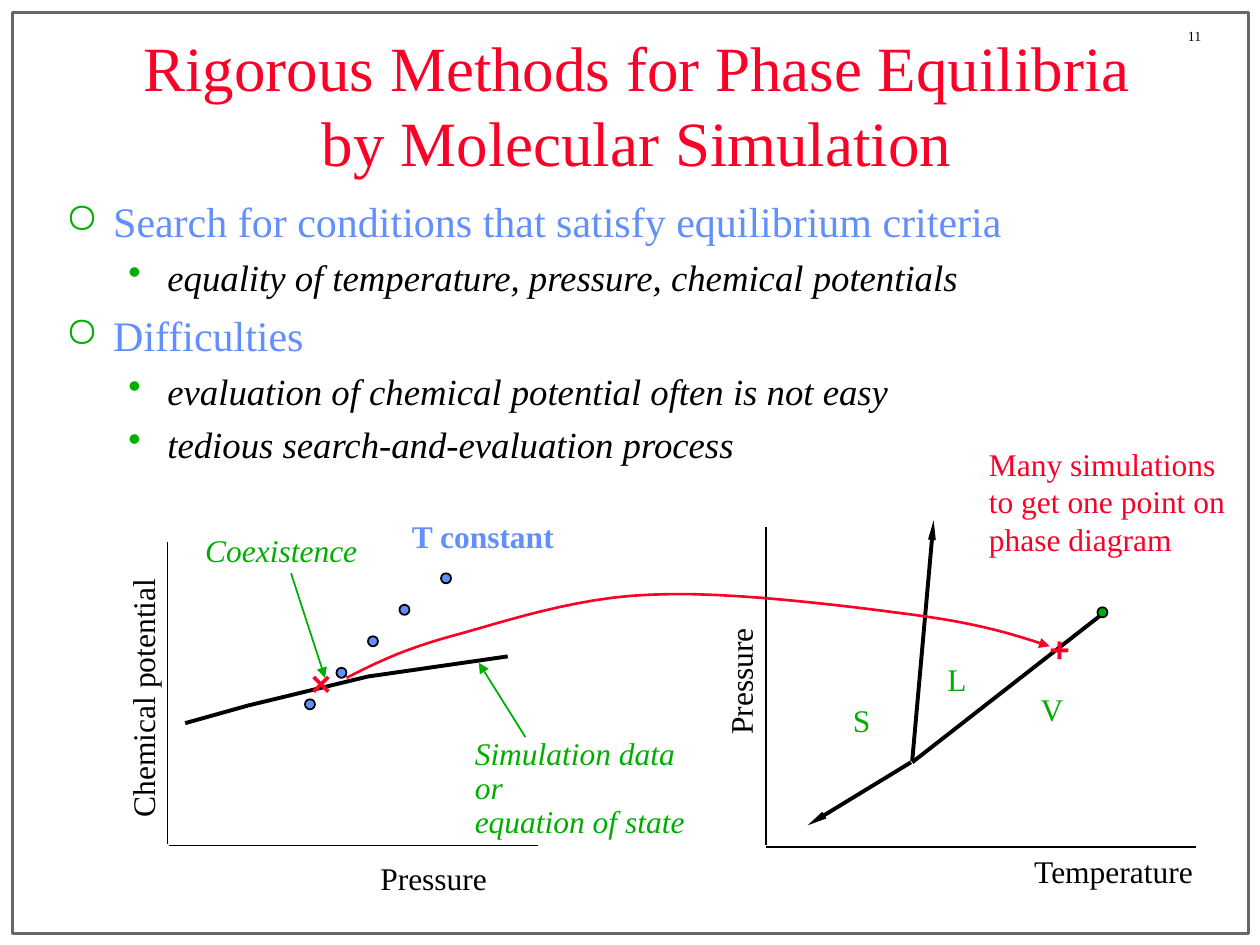
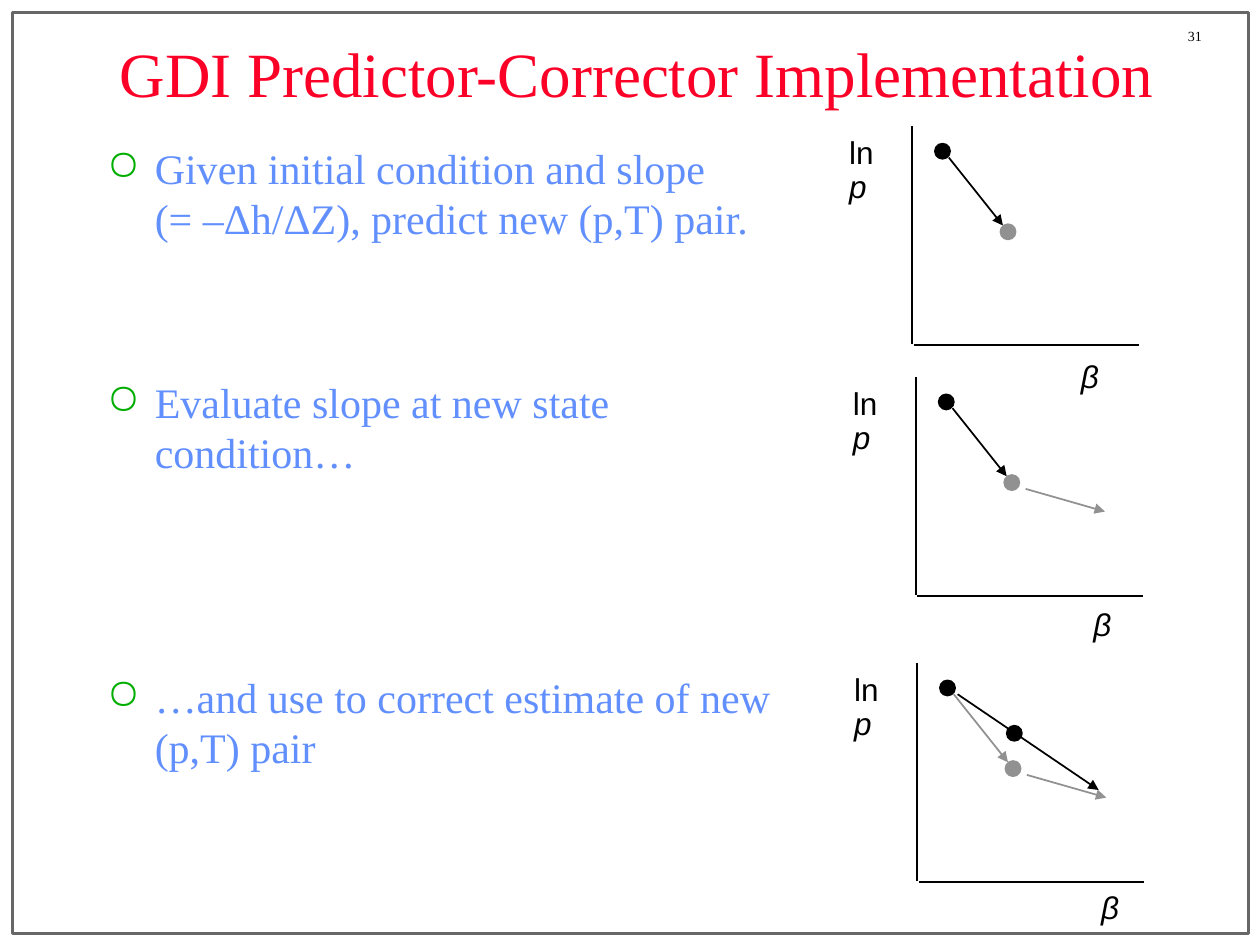
"""Build two slides on phase equilibria and the GDI predictor-corrector scheme."""
from dataclasses import dataclass

from lxml.etree import SubElement
from pptx import Presentation
from pptx.dml.color import RGBColor
from pptx.enum.shapes import MSO_CONNECTOR, MSO_SHAPE
from pptx.enum.text import MSO_ANCHOR, MSO_AUTO_SIZE, PP_ALIGN
from pptx.oxml.ns import qn
from pptx.util import Pt

PX = 9144


@dataclass(frozen=True)
class Theme:
    red: str = "FC0128"
    blue: str = "618FFD"
    green: str = "00AE00"
    black: str = "000000"
    gray: str = "919191"
    border: str = "676767"
    serif: str = "Times New Roman"
    sans: str = "Arial"
    title: int = 36
    topic: int = 24
    detail: int = 21
    mark: int = 20
    label: int = 18
    number: int = 8


theme = Theme()
title_style = dict(name=theme.serif, size=theme.title, color=theme.red)
number_style = dict(name=theme.serif, size=theme.number, color=theme.black)
topic_style = dict(name=theme.serif, size=theme.topic, color=theme.blue)
detail_style = dict(name=theme.serif, size=theme.detail, color=theme.black, italic=True)
axis_style = dict(name=theme.serif, size=theme.label, color=theme.black)
phase_style = dict(axis_style, color=theme.green)
callout_style = dict(phase_style, italic=True)
constant_style = dict(axis_style, color=theme.blue, bold=True)
remark_style = dict(axis_style, color=theme.red)
mark_style = dict(name=theme.sans, size=theme.mark, color=theme.red, bold=True)
symbol_style = dict(name=theme.sans, size=theme.label, color=theme.black)
variable_style = dict(symbol_style, italic=True)


def write(shape, box, lines, wrap=False, fit=True, spacing=None):
    """Place a text shape and fill it with lines of (text, style) runs."""
    for side, length in zip(("left", "top", "width", "height"), box):
        setattr(shape, side, length * PX)
    frame = shape.text_frame
    frame.word_wrap = wrap
    frame.auto_size = MSO_AUTO_SIZE.SHAPE_TO_FIT_TEXT if fit else MSO_AUTO_SIZE.NONE
    for index, runs in enumerate(lines):
        paragraph = frame.add_paragraph() if index else frame.paragraphs[0]
        paragraph.line_spacing = spacing
        for text, style in runs:
            if text == "\n":
                paragraph.add_line_break()
                continue
            run = paragraph.add_run()
            run.text = text
            for attribute, value in style.items():
                if attribute == "color":
                    run.font.color.rgb = RGBColor.from_string(value)
                elif attribute == "size":
                    run.font.size = Pt(value)
                else:
                    setattr(run.font, attribute, value)
    return frame


def outline(shape, color, weight=1, head=None):
    """Style a line, give it an optional arrowhead and remove its shadow."""
    shape.line.color.rgb = RGBColor.from_string(color)
    shape.line.width = Pt(weight)
    properties = shape.element.spPr
    if head:
        SubElement(properties.find(qn("a:ln")), qn("a:tailEnd"), head)
    SubElement(properties, qn("a:effectLst"))


presentation = Presentation()
presentation.slide_width, presentation.slide_height = 1000 * PX, 750 * PX
title_only = presentation.slide_layouts[5]

TOPIC = dict(style=topic_style, bullet="○", margin=38, hanging=38, level=0)
DETAIL = dict(style=detail_style, bullet="•", margin=81, hanging=31, level=1)

outlines = [
    ("Rigorous Methods for Phase Equilibria by Molecular Simulation", 33, "11",
     (42, 150, 942, 450), [
         (TOPIC, 0, "Search for conditions that satisfy equilibrium criteria"),
         (DETAIL, 5.2, "equality of temperature, pressure, chemical potentials"),
         (TOPIC, 6, "Difficulties"),
         (DETAIL, 5.2, "evaluation of chemical potential often is not easy"),
         (DETAIL, 5.2, "tedious search-and-evaluation process"),
     ]),
    ("GDI Predictor-Corrector Implementation", 8, "31",
     (75, 108, 558, 508), [
         (TOPIC, 0, "Given initial condition and slope\n(= –Δh/ΔZ), predict new (p,T) pair."),
         (TOPIC, 76, "Evaluate slope at new state condition…"),
         (TOPIC, 111, "…and use to correct estimate of new (p,T) pair"),
     ]),
]

for title, title_top, number, body_box, points in outlines:
    slide = presentation.slides.add_slide(title_only)
    border = slide.shapes.add_shape(MSO_SHAPE.RECTANGLE, 10 * PX, 10 * PX, 981 * PX, 731 * PX)
    border.fill.background()
    outline(border, theme.border, 2)
    write(slide.shapes.add_textbox(0, 0, 0, 0), (933, 17, 67, 23), [[(number, number_style)]])

    heading = write(slide.shapes.title, (75, title_top, 861, 99), [[(title, title_style)]],
                    wrap=True, fit=False)
    heading.vertical_anchor = MSO_ANCHOR.MIDDLE
    heading.paragraphs[0].alignment = PP_ALIGN.CENTER

    lines = []
    for kind, gap, text in points:
        first, newline, rest = text.partition("\n")
        lines.append([(part, kind["style"]) for part in (first, newline, rest) if part])
    body = write(slide.shapes.add_textbox(0, 0, 0, 0), body_box, lines, wrap=True, fit=False)
    for paragraph, (kind, gap, text) in zip(body.paragraphs, points):
        paragraph.level = kind["level"]
        paragraph.space_before = Pt(gap)
        properties = paragraph._p.get_or_add_pPr()
        properties.set("marL", str(kind["margin"] * PX))
        properties.set("indent", str(-kind["hanging"] * PX))
        bullet_color = SubElement(properties, qn("a:buClr"))
        SubElement(bullet_color, qn("a:srgbClr"), val=theme.green)
        SubElement(properties, qn("a:buChar"), char=kind["bullet"])

equilibria, corrector = presentation.slides

ARROW = dict(type="triangle")
SLIM_ARROW = dict(type="triangle", w="sm", len="lg")

segments = [
    (equilibria, (133, 430, 133, 670), theme.black, 1, None),
    (equilibria, (134, 671, 427, 671), theme.black, 1, None),
    (equilibria, (417, 585, 380, 526), theme.green, 1, ARROW),
    (equilibria, (231, 455, 258, 538), theme.green, 1, ARROW),
    (equilibria, (608, 418, 608, 671), theme.black, 1, None),
    (equilibria, (608, 672, 949, 672), theme.black, 1, None),
    (equilibria, (723, 605, 641, 655), theme.black, 2.25, SLIM_ARROW),
    (equilibria, (724, 604, 741, 413), theme.black, 2.25, SLIM_ARROW),
    (equilibria, (724, 605, 874, 488), theme.black, 2.25, None),
]
data_points = [(242, 555), (267, 530), (292, 505), (317, 480), (350, 455)]
dots = [(equilibria, left, top, 8, theme.blue, theme.black) for left, top in data_points]
dots.append((equilibria, 871, 482, 8, theme.green, theme.black))

labels = [
    (equilibria, (-16, 509, 262, 37), [[("Chemical potential", axis_style)]], True, 270),
    (equilibria, (237, 524, 44, 40), [[("×", mark_style)]], False, 0),
    (equilibria, (367, 581, 207, 64), [[("Simulation data or", callout_style)],
                                       [("equation of state", callout_style)]], False, 0),
    (equilibria, (153, 420, 141, 37), [[("Coexistence", callout_style)]], False, 0),
    (equilibria, (317, 409, 133, 37), [[("T constant", constant_style)]], False, 0),
    (equilibria, (292, 680, 140, 37), [[("Pressure", axis_style)]], True, 0),
    (equilibria, (508, 493, 163, 37), [[("Pressure", axis_style)]], True, 270),
    (equilibria, (811, 675, 148, 37), [[("Temperature", axis_style)]], False, 0),
    (equilibria, (816, 546, 42, 37), [[("V", phase_style)]], True, 0),
    (equilibria, (742, 522, 42, 37), [[("L", phase_style)]], True, 0),
    (equilibria, (667, 555, 42, 37), [[("S", phase_style)]], True, 0),
    (equilibria, (823, 497, 36, 40), [[("+", mark_style)]], False, 0),
]

panels = [
    (724, 100, (848, 282), theme.black, False, False),
    (727, 299, (858, 479), theme.black, True, False),
    (728, 526, (864, 703), theme.gray, True, True),
]
for left, top, beta, predictor_color, evaluated, corrected in panels:
    strokes = [((0, 0, 0, 173), theme.black, None),
               ((1, 174, 180, 174), theme.black, None),
               ((29, 25, 72, 79), predictor_color, ARROW)]
    states = [(18, 14, theme.black), (70, 78, theme.gray)]
    if evaluated:
        strokes.append(((87, 89, 150, 107), theme.gray, ARROW))
    if corrected:
        strokes.append(((32, 25, 144, 101), theme.black, ARROW))
        states.append((71, 50, theme.black))
    for (x1, y1, x2, y2), color, head in strokes:
        ends = (left + x1, top + y1, left + x2, top + y2)
        segments.append((corrector, ends, color, 1, head))
    for x, y, color in states:
        dots.append((corrector, left + x, top + y, 12, color, color))
    labels.append((corrector, (left - 60, top + 4, 53, 37),
                   [[("ln", symbol_style), ("p", variable_style)]], False, 0))
    labels.append((corrector, (*beta, 34, 37), [[("β", variable_style)]], False, 0))

for slide, ends, color, weight, head in segments:
    segment = slide.shapes.add_connector(MSO_CONNECTOR.STRAIGHT, *(end * PX for end in ends))
    outline(segment, color, weight, head)

isotherm = [(403, 521), (292, 537), (197, 560), (147, 574)]
transfer = [(275, 538)]
bends = [
    ((297, 527), (318, 516), (358, 505)),
    ((399, 494), (456, 474), (517, 472)),
    ((578, 469), (672, 481), (725, 488)),
    ((778, 495), (806, 504), (833, 513)),
]
STEPS = 12
for bend in bends:
    controls = (transfer[-1], *bend)
    for step in range(1, STEPS + 1):
        t = step / STEPS
        weights = ((1 - t) ** 3, 3 * t * (1 - t) ** 2, 3 * t ** 2 * (1 - t), t ** 3)
        transfer.append(tuple(sum(w * c for w, c in zip(weights, axis))
                              for axis in zip(*controls)))

for trace, color, weight, head in ((isotherm, theme.black, 2.25, None),
                                   (transfer, theme.red, 1.5, ARROW)):
    start, *following = [(round(x * PX), round(y * PX)) for x, y in trace]
    builder = equilibria.shapes.build_freeform(*start)
    builder.add_line_segments(following, close=False)
    curve = builder.convert_to_shape()
    curve.fill.background()
    outline(curve, color, weight, head)

for slide, left, top, size, fill, edge in dots:
    dot = slide.shapes.add_shape(MSO_SHAPE.OVAL, left * PX, top * PX, size * PX, size * PX)
    dot.fill.solid()
    dot.fill.fore_color.rgb = RGBColor.from_string(fill)
    outline(dot, edge)

for slide, box, lines, wrap, rotation in labels:
    label = slide.shapes.add_textbox(0, 0, 0, 0)
    label.rotation = rotation
    write(label, box, lines, wrap, spacing=0.9)

write(equilibria.shapes.add_textbox(0, 0, 0, 0), (775, 348, 208, 100),
      [[("Many simulations to get one point on phase diagram", remark_style)]], wrap=True)

presentation.save("out.pptx")
